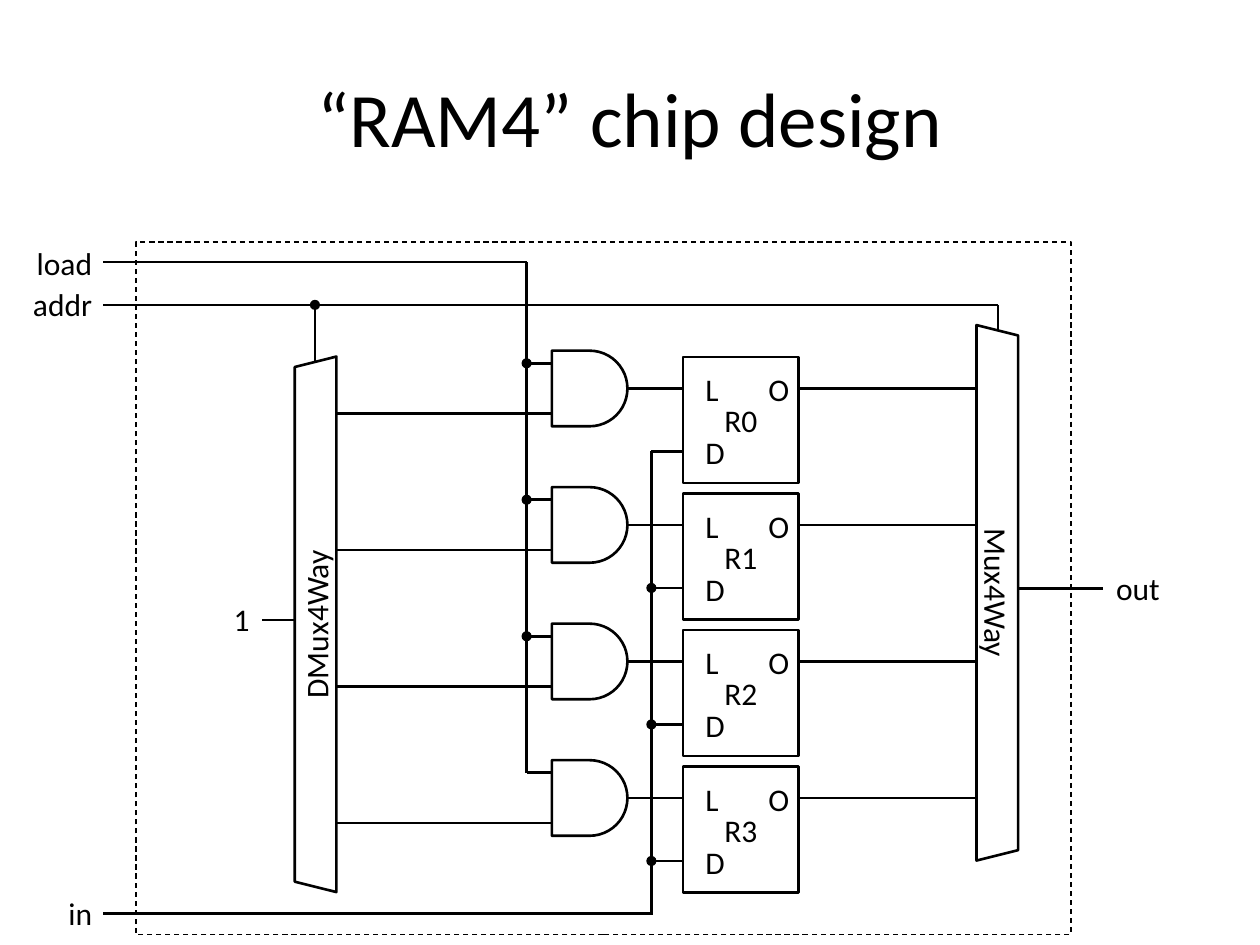
from lxml import etree
from pptx import Presentation
from pptx.dml.color import RGBColor as Rgb
from pptx.enum.dml import MSO_LINE as Dash
from pptx.enum.shapes import MSO_CONNECTOR as Link, MSO_SHAPE as Kind
from pptx.enum.text import MSO_ANCHOR as Anchor, PP_ALIGN as Align
from pptx.oxml.ns import qn
from pptx.util import Inches, Pt

COLORS = {"ink": "000000"}
FONT = "Calibri"
PITCH = 13 / 12
ROWS = [2 + PITCH * n for n in range(1, 5)]
LOAD_X, DATA_X = 4.18, 5.17
LOAD_Y, ADDR_Y, DATA_Y = 2.08, 2.42, 7.25


def ink():
    """Return the drawing colour."""
    return Rgb.from_string(COLORS["ink"])


def write(shape, text, size=18, align=Align.CENTER):
    """Put one line of text in a shape, centred in height."""
    frame = shape.text_frame
    frame.text = text
    frame.word_wrap = True
    frame.vertical_anchor = Anchor.MIDDLE
    para = frame.paragraphs[0]
    para.alignment = align
    font = para.runs[0].font
    font.name, font.size = FONT, Pt(size)
    font.color.rgb = ink()


def label(shapes, text, x, y, w, h=0.25, align=Align.CENTER):
    """Add a text box."""
    box = shapes.add_textbox(Inches(x), Inches(y), Inches(w), Inches(h))
    write(box, text, align=align)


def outline(shapes, kind, x, y, w, h, weight=1.5):
    """Add an unfilled preset shape with a thin outline."""
    shape = shapes.add_shape(kind, Inches(x), Inches(y), Inches(w), Inches(h))
    shape.shadow.inherit = False
    shape.fill.background()
    shape.line.color.rgb = ink()
    shape.line.width = Pt(weight)
    return shape


def wire(shapes, x1, y1, x2, y2):
    """Add a straight wire."""
    line = shapes.add_connector(
        Link.STRAIGHT, Inches(x1), Inches(y1), Inches(x2), Inches(y2))
    line.line.color.rgb = ink()
    line.line.width = Pt(1.5)
    etree.SubElement(line._element.spPr, qn("a:effectLst"))


def dot(shapes, x, y):
    """Mark a junction of wires."""
    size = 0.07
    mark = outline(shapes, Kind.OVAL, x - size / 2, y - size / 2,
                   size, size, 0.75)
    mark.fill.solid()
    mark.fill.fore_color.rgb = ink()


def mux(shapes, text, x, y, turn):
    """Add a turned trapezoid with its name."""
    shape = outline(shapes, Kind.TRAPEZOID, x, y, 4.25, 0.33)
    shape.rotation = turn
    write(shape, text)


def register(slide, name, y):
    """Add a register with its pins, where y is the level of L and O."""
    shapes = slide.shapes.add_group_shape().shapes
    write(outline(shapes, Kind.RECTANGLE, 5.42, y - 0.25, 0.92, 1), name)
    for pin, x, drop in (("D", 5.5, 0.5), ("L", 5.5, 0), ("O", 6, 0)):
        label(shapes, pin, x, y + drop - 0.16, 0.25, 0.33)
    wire(shapes, DATA_X, y, 5.42, y)
    wire(shapes, DATA_X, y + 0.5, 5.42, y + 0.5)
    wire(shapes, 6.33, y, 6.58, y)


def gate(slide, y):
    """Add an AND gate with its pins, where y is the output level."""
    shapes = slide.shapes.add_group_shape().shapes
    outline(shapes, Kind.FLOWCHART_DELAY, 4.38, y - 0.3, 0.6, 0.6)
    wire(shapes, 4.98, y, 5.18, y)
    for side in (-0.2, 0.2):
        wire(shapes, LOAD_X, y + side, 4.38, y + side)


def main():
    """Build the slide and save it."""
    deck = Presentation()
    deck.slide_width, deck.slide_height = Inches(10), Inches(7.5)
    slide = deck.slides.add_slide(deck.slide_layouts[5])
    shapes = slide.shapes
    title = shapes.title
    title.left, title.top = Inches(0.5), Inches(0.3)
    title.width, title.height = Inches(9), Inches(1.25)
    write(title, "“RAM4” chip design", 44)

    mux(shapes, "Mux4Way", 5.79, 4.54, 90)
    mux(shapes, "DMux4Way", 0.38, 4.79, 270)
    for n, y in enumerate(ROWS):
        register(slide, f"R{n}", y)
        gate(slide, y)
        wire(shapes, 2.67, y + 0.2, LOAD_X, y + 0.2)
        wire(shapes, 6.57, y, 7.75, y)

    for ends in (
        (2.08, 4.92, 2.33, 4.92),
        (8.08, 4.67, 8.75, 4.67),
        (0.82, ADDR_Y, 7.92, ADDR_Y),
        (2.5, ADDR_Y, 2.5, 2.88),
        (7.92, ADDR_Y, 7.92, 2.62),
        (0.82, LOAD_Y, LOAD_X, LOAD_Y),
        (LOAD_X, LOAD_Y, LOAD_X, ROWS[-1] - 0.2),
        (0.82, DATA_Y, 5.18, DATA_Y),
        (DATA_X, ROWS[0] + 0.5, DATA_X, DATA_Y),
    ):
        wire(shapes, *ends)

    dot(shapes, 2.5, ADDR_Y)
    for y in ROWS[:-1]:
        dot(shapes, LOAD_X, y - 0.2)
    for y in ROWS[1:]:
        dot(shapes, DATA_X, y + 0.5)

    chip = outline(shapes, Kind.RECTANGLE, 1.08, 1.92, 7.42, 5.5, 0.75)
    chip.line.dash_style = Dash.DASH
    for text, x, y in (("load", 0.16, 1.96), ("addr", 0.16, 2.29),
                       ("in", 0.16, 7.12), ("1", 1.41, 4.79)):
        label(shapes, text, x, y, 0.67, align=Align.RIGHT)
    label(shapes, "out", 8.76, 4.54, 0.75, align=Align.LEFT)
    deck.save("out.pptx")


main()
